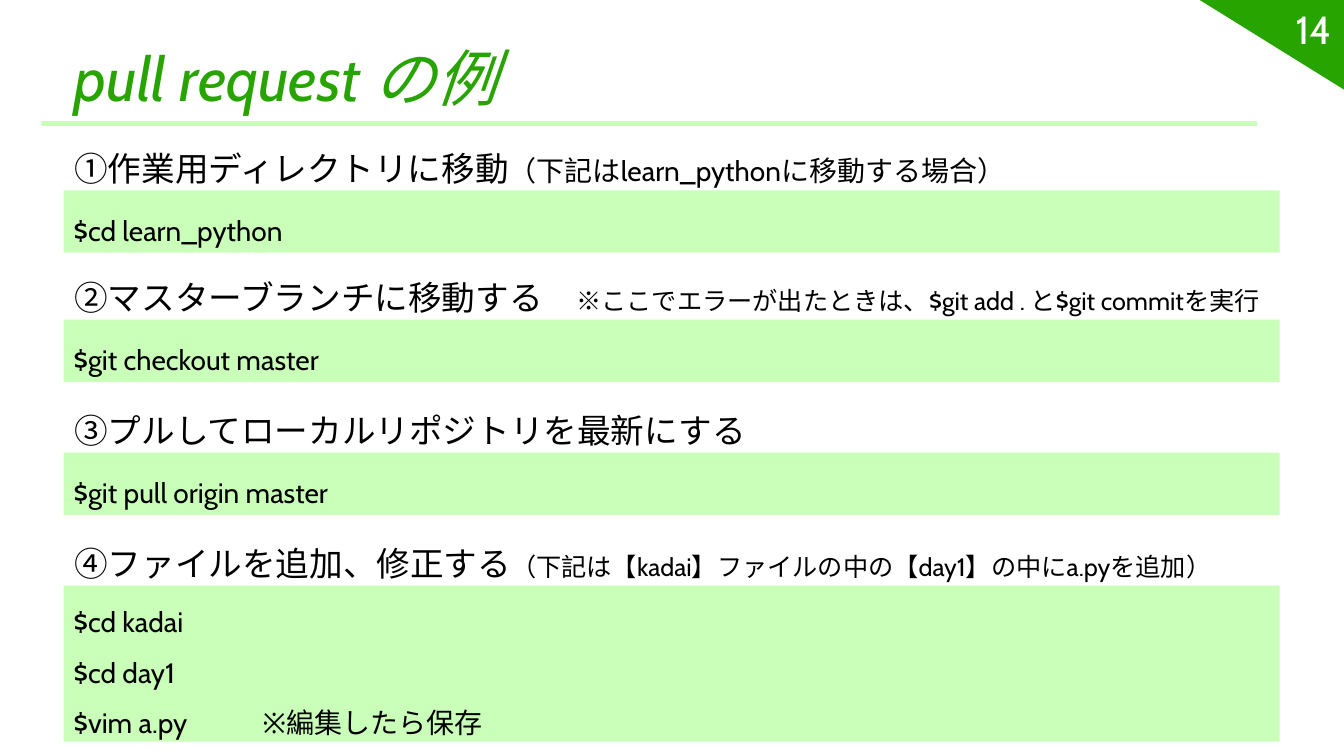
import pptx
import pptx.util
import pptx.dml.color
import pptx.enum.shapes
import pptx.enum.text
from lxml import etree

Pt = pptx.util.Pt
SHAPE = pptx.enum.shapes.MSO_SHAPE
ALIGN = pptx.enum.text.PP_ALIGN
ANCHOR = pptx.enum.text.MSO_ANCHOR

GREEN, PALE, BLACK, WHITE = "27A400", "CAFFBA", "000000", "FFFFFF"
FONT = "Cabin"
TITLE = "pull request の例"
PAGE = "14"
STEPS = [
    {"top": 136, "heading": "①作業用ディレクトリに移動",
     "note": "（下記はlearn_pythonに移動する場合）", "note_size": 20,
     "commands": ["$cd learn_python"]},
    {"top": 228.25, "heading": "②マスターブランチに移動する　",
     "note": "※ここでエラーが出たときは、$git add . と$git commitを実行", "note_size": 18,
     "commands": ["$git checkout master"]},
    {"top": 323.25, "heading": "③プルしてローカルリポジトリを最新にする",
     "note": "", "note_size": 18,
     "commands": ["$git pull origin master"]},
    {"top": 418.25, "heading": "④ファイルを追加、修正する",
     "note": "（下記は【kadai】ファイルの中の【day1】の中にa.pyを追加）", "note_size": 18,
     "commands": ["$cd kadai", "$cd day1", "$vim a.py\t※編集したら保存"]},
]
LEFT, WIDTH = 45.5, 868.5
HEADING_WIDTH, HEADING_HEIGHT = 885, 48.25
COMMAND_HEIGHT, COMMAND_STEP = 44.5, 33.5
TAB_STOP = 135


def rgb(color):
    return pptx.dml.color.RGBColor.from_string(color)


def style(run, size, color=BLACK, italic=None):
    run.font.name = FONT
    run.font.size = Pt(size)
    run.font.color.rgb = rgb(color)
    run.font.italic = italic


def add_block(kind, left, top, width, height, color):
    block = slide.shapes.add_shape(kind, Pt(left), Pt(top), Pt(width), Pt(height))
    block.shadow.inherit = False
    block.fill.solid()
    block.fill.fore_color.rgb = rgb(color)
    block.line.fill.background()
    return block


def add_text(left, top, width, height):
    box = slide.shapes.add_textbox(Pt(left), Pt(top), Pt(width), Pt(height))
    box.text_frame.word_wrap = True
    return box.text_frame


def add_tab_stop(paragraph):
    properties = paragraph._p.get_or_add_pPr()
    namespace = "{http://schemas.openxmlformats.org/drawingml/2006/main}"
    stops = etree.SubElement(properties, namespace + "tabLst")
    etree.SubElement(stops, namespace + "tab", pos=str(int(Pt(TAB_STOP))), algn="l")


def add_step(step):
    heading = add_text(LEFT + 0.5, step["top"] - HEADING_HEIGHT,
                       HEADING_WIDTH, HEADING_HEIGHT).paragraphs[0]
    heading.line_spacing = 1.5
    for text, size in ((step["heading"], 24), (step["note"], step["note_size"])):
        if text:
            run = heading.add_run()
            run.text = text
            style(run, size)

    commands = step["commands"]
    height = COMMAND_HEIGHT + COMMAND_STEP * (len(commands) - 1)
    block = add_block(SHAPE.RECTANGLE, LEFT, step["top"], WIDTH, height, PALE)
    frame = block.text_frame
    frame.vertical_anchor = ANCHOR.MIDDLE
    frame.text = "\n".join(commands)
    for paragraph in frame.paragraphs:
        paragraph.alignment = ALIGN.LEFT
        paragraph.line_spacing = 1.5
        if "\t" in paragraph.text:
            add_tab_stop(paragraph)
        for run in paragraph.runs:
            style(run, 20)


deck = pptx.Presentation()
deck.slide_width, deck.slide_height = Pt(960), Pt(540)
slide = deck.slides.add_slide(deck.slide_layouts[5])

corner = add_block(SHAPE.RIGHT_TRIANGLE, 857, 0, 103, 64, GREEN)
corner.rotation = 180
add_block(SHAPE.RECTANGLE, 29.5, 86.5, WIDTH, 3.5, PALE)

title = slide.shapes.title
title.left, title.top, title.width, title.height = Pt(46), Pt(21), Pt(WIDTH), Pt(64)
title.text_frame.text = TITLE
title.text_frame.vertical_anchor = ANCHOR.BOTTOM
title.text_frame.auto_size = pptx.enum.text.MSO_AUTO_SIZE.NONE
title.text_frame.paragraphs[0].alignment = ALIGN.LEFT
style(title.text_frame.paragraphs[0].runs[0], 44, GREEN, True)

page = add_text(823, 6, 135, 29)
page.text = PAGE
page.vertical_anchor = ANCHOR.MIDDLE
page.paragraphs[0].alignment = ALIGN.RIGHT
style(page.paragraphs[0].runs[0], 28, WHITE)

for step in STEPS:
    add_step(step)

deck.save("out.pptx")
